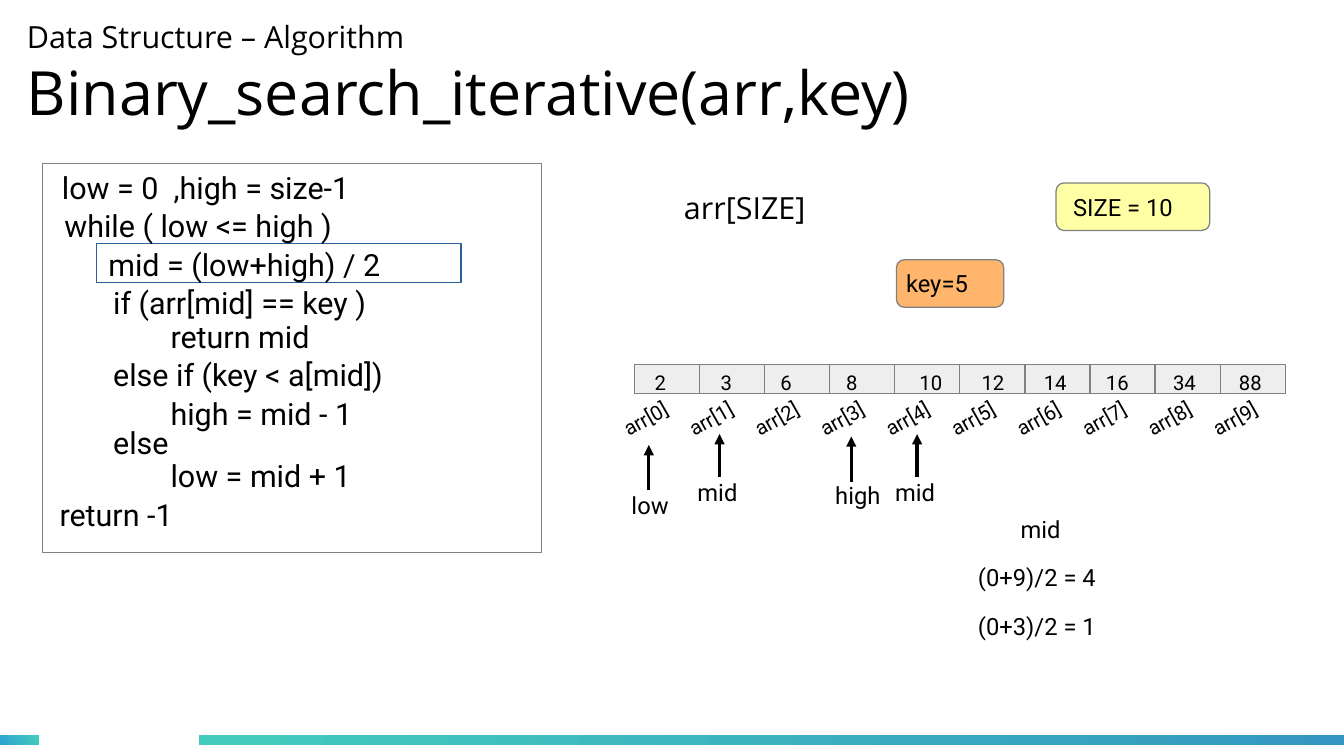
from dataclasses import dataclass

import pptx
import pptx.dml.color
import pptx.enum.shapes
import pptx.enum.text
import pptx.oxml
import pptx.oxml.ns
import pptx.util
from lxml import etree

SHAPE = pptx.enum.shapes.MSO_SHAPE
ANCHOR = pptx.enum.text.MSO_ANCHOR
UNIT = 0.1  # inches in one grid column or row
COLS, ROWS = 110.2, 62


@dataclass(frozen=True)
class Theme:
    heading: str = "Open Sans"
    body: str = "Roboto"
    text: str = "000000"
    white: str = "FFFFFF"
    border: str = "808080"
    highlight: str = "2A6099"
    cell: str = "EEEEEE"
    size_badge: str = "FFFFA6"
    key_badge: str = "FFB66C"
    teal: str = "43CCBD"
    title_pt: int = 36
    code_pt: int = 18
    note_pt: int = 14
    cell_pt: int = 12


@dataclass(frozen=True)
class Box:
    col: float
    row: float
    cols: float
    rows: float


@dataclass(frozen=True)
class Label:
    text: str
    box: Box


@dataclass(frozen=True)
class Badge:
    label: Label
    fill: str
    inset: float


@dataclass(frozen=True)
class Pointer:
    label: Label
    col: float
    start: float
    tip: float


@dataclass(frozen=True)
class Bar:
    box: Box
    end_color: str
    angle: float


@dataclass(frozen=True)
class Cell:
    value: str
    text_col: float


T = Theme()

BARS = [
    Bar(Box(0, 60.3, 3.2, 0.8), "30A2D2", 210),
    Bar(Box(16.3, 60.3, 94, 0.8), "3497C1", 330),
]
CODE_PANEL = Box(3.5, 13.4, 40.9, 31.9)
CODE_HIGHLIGHT = Box(7.9, 20, 29.9, 3.2)
CODE = [
    Label("low = 0  ,high = size-1", Box(4.1, 13.4, 37, 4.4)),
    Label("while ( low <= high )", Box(4.3, 16.5, 30, 4.4)),
    Label("mid = (low+high) / 2", Box(7.9, 19.7, 32, 4.4)),
    Label("if (arr[mid] == key )", Box(8.3, 22.8, 28, 4.4)),
    Label("return mid", Box(13, 25.6, 16.5, 4.4)),
    Label("else if (key < a[mid])", Box(8.3, 28.7, 33, 4.4)),
    Label("high = mid - 1", Box(13, 31.9, 28, 4.4)),
    Label("else", Box(8.3, 34.3, 8, 4.4)),
    Label("low = mid + 1", Box(13, 37, 28, 4.4)),
    Label("return -1", Box(3.9, 40.2, 15.4, 4.4)),
]
BADGES = [
    Badge(Label("SIZE = 10", Box(86.6, 15, 12.6, 3.9)), T.size_badge, 1.2),
    Badge(Label("key=5", Box(73.5, 21.3, 8.8, 3.9)), T.key_badge, 0.6),
]
NOTES = [
    Label("mid", Box(82.7, 41.7, 6.3, 3.9)),
    Label("(0+9)/2 = 4", Box(79.2, 45.7, 14.2, 3.9)),
    Label("(0+3)/2 = 1", Box(79.2, 49.7, 14.2, 3.9)),
]
CELLS = [
    Cell("2", 52.7), Cell("3", 58.1), Cell("6", 63), Cell("8", 68.4),
    Cell("10", 74.4), Cell("12", 79.5), Cell("14", 84.6), Cell("16", 89.7),
    Cell("34", 95.2), Cell("88", 100.6),
]
ARRAY = Box(52, 29.9, 53.4, 2.4)
INDEX_START = Box(50, 32.5, 7, 3.3)
INDEX_PITCH = 5.37
INDEX_ROTATION = 330.4
POINTERS = [
    Pointer(Label("mid", Box(72.4, 38.7, 6.2, 3.8)), 75.2, 39.1, 35.6),
    Pointer(Label("mid", Box(56.2, 38.7, 6.2, 3.8)), 59, 39.1, 35.6),
    Pointer(Label("low", Box(50.8, 39.8, 6.3, 3.6)), 53.2, 40.2, 36.5),
    Pointer(Label("high", Box(67.5, 38.9, 6.5, 3.6)), 69.8, 39.5, 35.8),
]


def u(n: float) -> int:
    return pptx.util.Inches(n * UNIT)


def rgb(color: str) -> pptx.dml.color.RGBColor:
    return pptx.dml.color.RGBColor.from_string(color)


def place(box: Box) -> tuple[int, int, int, int]:
    return u(box.col), u(box.row), u(box.cols), u(box.rows)


def add_run(p, text: str, pt: float, font: str = T.body) -> None:
    r = p.add_run()
    r.text = text
    r.font.size = pptx.util.Pt(pt)
    r.font.name = font
    r.font.color.rgb = rgb(T.text)


def add_label(s, label: Label, pt: float, font: str = T.body):
    sp = s.shapes.add_textbox(*place(label.box))
    sp.text_frame.word_wrap = True
    add_run(sp.text_frame.paragraphs[0], label.text, pt, font)
    return sp


def add_box(s, box: Box, fill: str, line: str = T.border, kind=SHAPE.RECTANGLE):
    sp = s.shapes.add_shape(kind, *place(box))
    sp.shadow.inherit = False
    sp.fill.solid()
    sp.fill.fore_color.rgb = rgb(fill)
    sp.line.color.rgb = rgb(line)
    sp.line.width = pptx.util.Pt(0)
    return sp


def add_badge(s, badge: Badge) -> None:
    sp = add_box(s, badge.label.box, badge.fill, kind=SHAPE.ROUNDED_RECTANGLE)
    tf = sp.text_frame
    tf.margin_left, tf.margin_right = u(badge.inset), 0
    tf.vertical_anchor = ANCHOR.MIDDLE
    p = tf.paragraphs[0]
    p.alignment = pptx.enum.text.PP_ALIGN.LEFT
    add_run(p, badge.label.text, T.note_pt)


def add_bar(s, bar: Bar) -> None:
    sp = add_box(s, bar.box, T.teal)
    sp.line.fill.background()
    sp.fill.gradient()
    sp.fill.gradient_angle = bar.angle
    for stop, color, position in zip(sp.fill.gradient_stops, (T.teal, bar.end_color), (0, 1)):
        stop.color.rgb = rgb(color)
        stop.position = position


def add_pointer(s, pointer: Pointer) -> None:
    line = s.shapes.add_connector(
        pptx.enum.shapes.MSO_CONNECTOR.STRAIGHT,
        u(pointer.col), u(pointer.start), u(pointer.col), u(pointer.tip))
    line.line.color.rgb = rgb(T.text)
    line.line.width = pptx.util.Pt(0)
    qn = pptx.oxml.ns.qn
    etree.SubElement(line.line._get_or_add_ln(), qn("a:tailEnd"), type="triangle")
    etree.SubElement(line._element.spPr, qn("a:effectLst"))
    add_label(s, pointer.label, T.note_pt)


def add_title(s) -> None:
    sp = s.shapes.title
    sp.left, sp.top, sp.width, sp.height = place(Box(2.2, -1.3, 104.1, 14.5))
    tf = sp.text_frame
    tf.margin_left = tf.margin_top = tf.margin_right = tf.margin_bottom = 0
    tf.auto_size = pptx.enum.text.MSO_AUTO_SIZE.NONE
    tf.vertical_anchor = ANCHOR.MIDDLE
    p = tf.paragraphs[0]
    p.alignment = pptx.enum.text.PP_ALIGN.LEFT
    add_run(p, "Data Structure – Algorithm", T.code_pt, T.heading)
    p.add_line_break()
    add_run(p, "Binary_search_iterative(arr,key)", T.title_pt, T.heading)


def add_array(s) -> None:
    width = ARRAY.cols / len(CELLS)
    for i, cell in enumerate(CELLS):
        add_box(s, Box(ARRAY.col + i * width, ARRAY.row, width, ARRAY.rows), T.cell)
        add_label(s, Label(cell.value, Box(cell.text_col, ARRAY.row, 4.9, 3.3)), T.cell_pt)
        start = INDEX_START
        box = Box(start.col + i * INDEX_PITCH, start.row, start.cols, start.rows)
        add_label(s, Label(f"arr[{i}]", box), T.cell_pt).rotation = INDEX_ROTATION


def main() -> None:
    prs = pptx.Presentation()
    prs.slide_width, prs.slide_height = u(COLS), u(ROWS)
    s = prs.slides.add_slide(prs.slide_layouts[5])

    # Footer bars and title
    for bar in BARS:
        add_bar(s, bar)
    add_title(s)

    # Code panel with the current line framed
    add_box(s, CODE_PANEL, T.white)
    add_box(s, CODE_HIGHLIGHT, T.white, T.highlight)
    for line in CODE:
        add_label(s, line, T.code_pt)

    # Array, its inputs and its pointers
    add_label(s, Label("arr[SIZE]", Box(55.1, 15, 14.2, 4.4)), T.code_pt, T.heading)
    for badge in BADGES:
        add_badge(s, badge)
    add_array(s)
    for pointer in POINTERS:
        add_pointer(s, pointer)

    # Midpoint calculations
    for note in NOTES:
        add_label(s, note, T.note_pt)
    prs.save("out.pptx")


if __name__ == "__main__":
    main()
